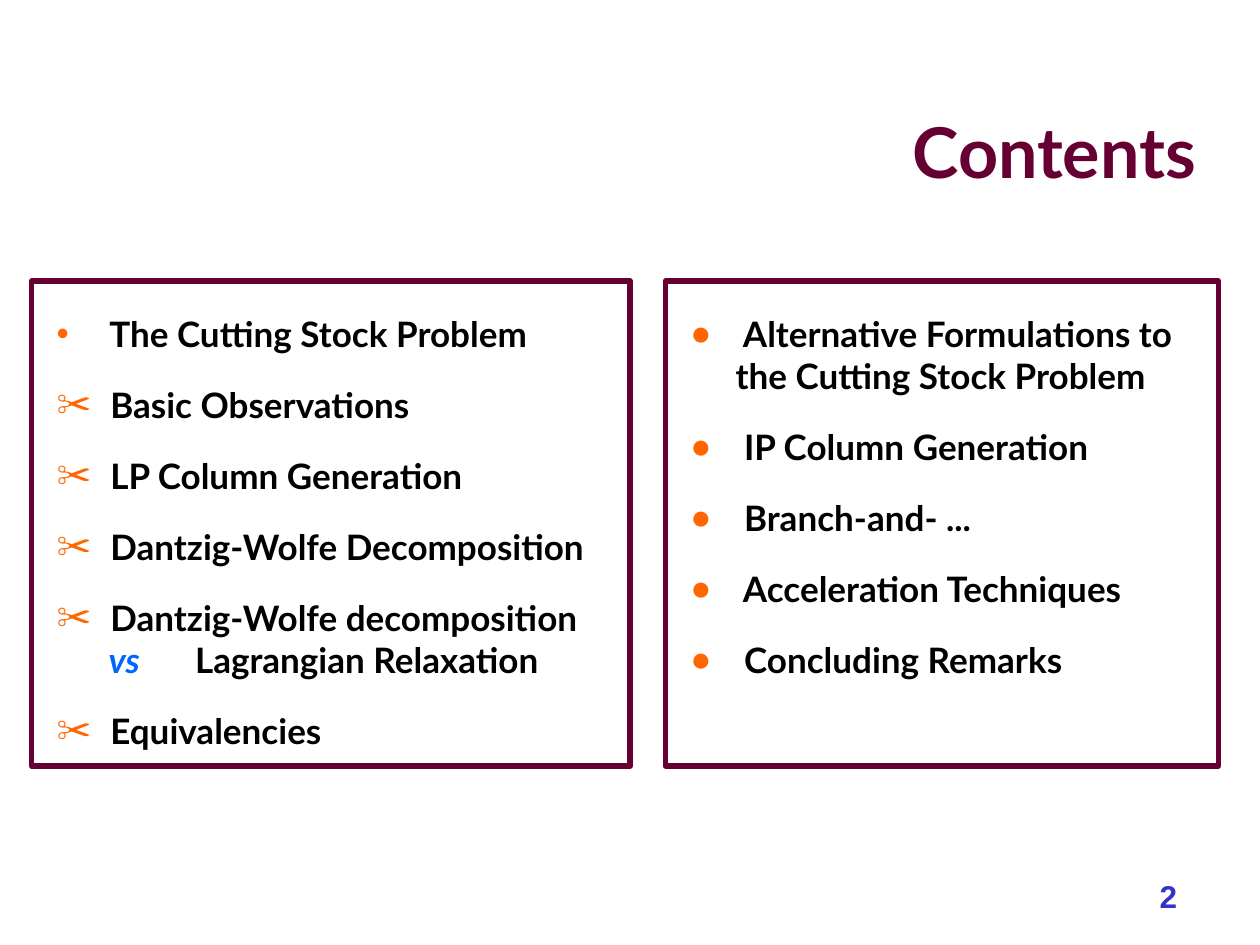
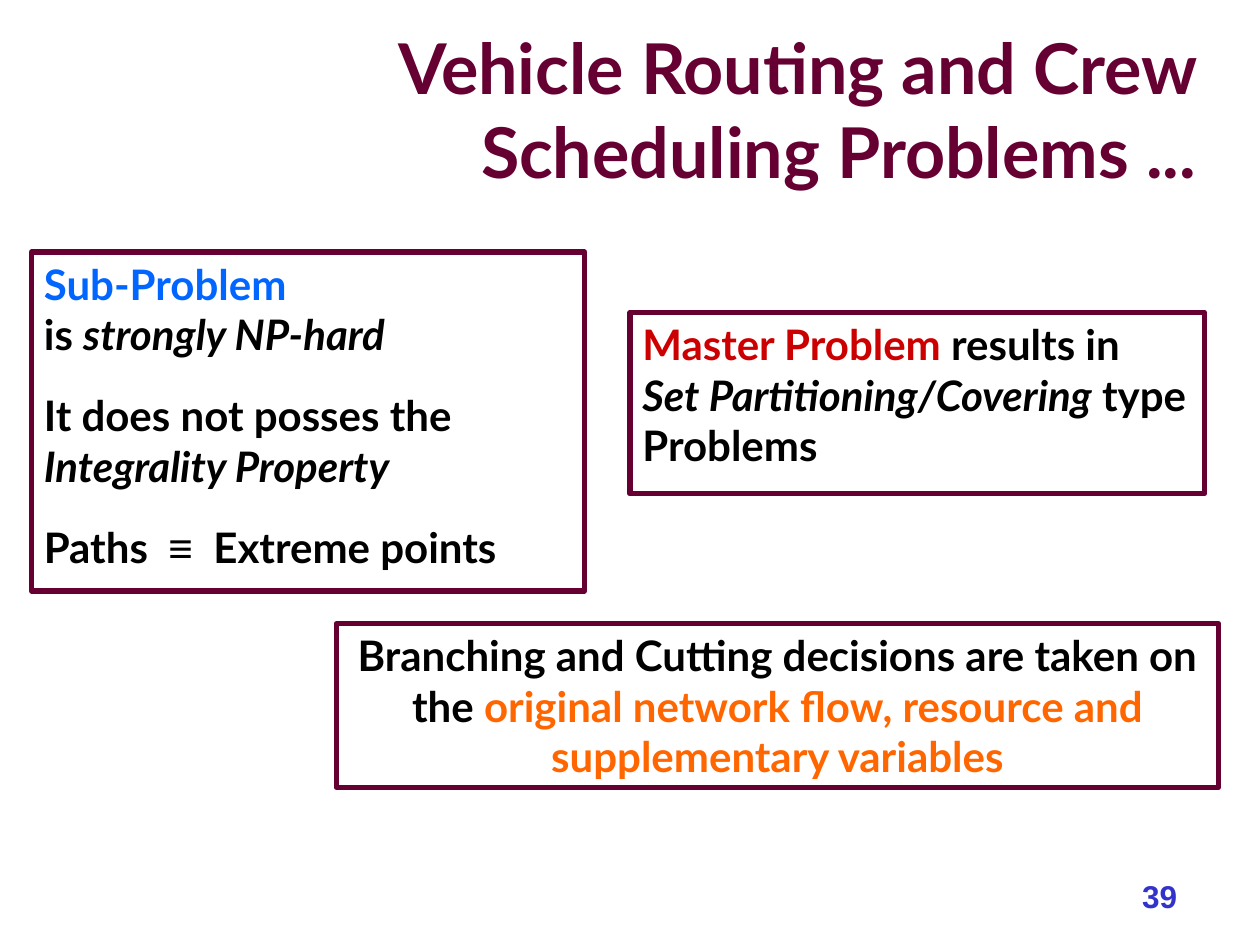
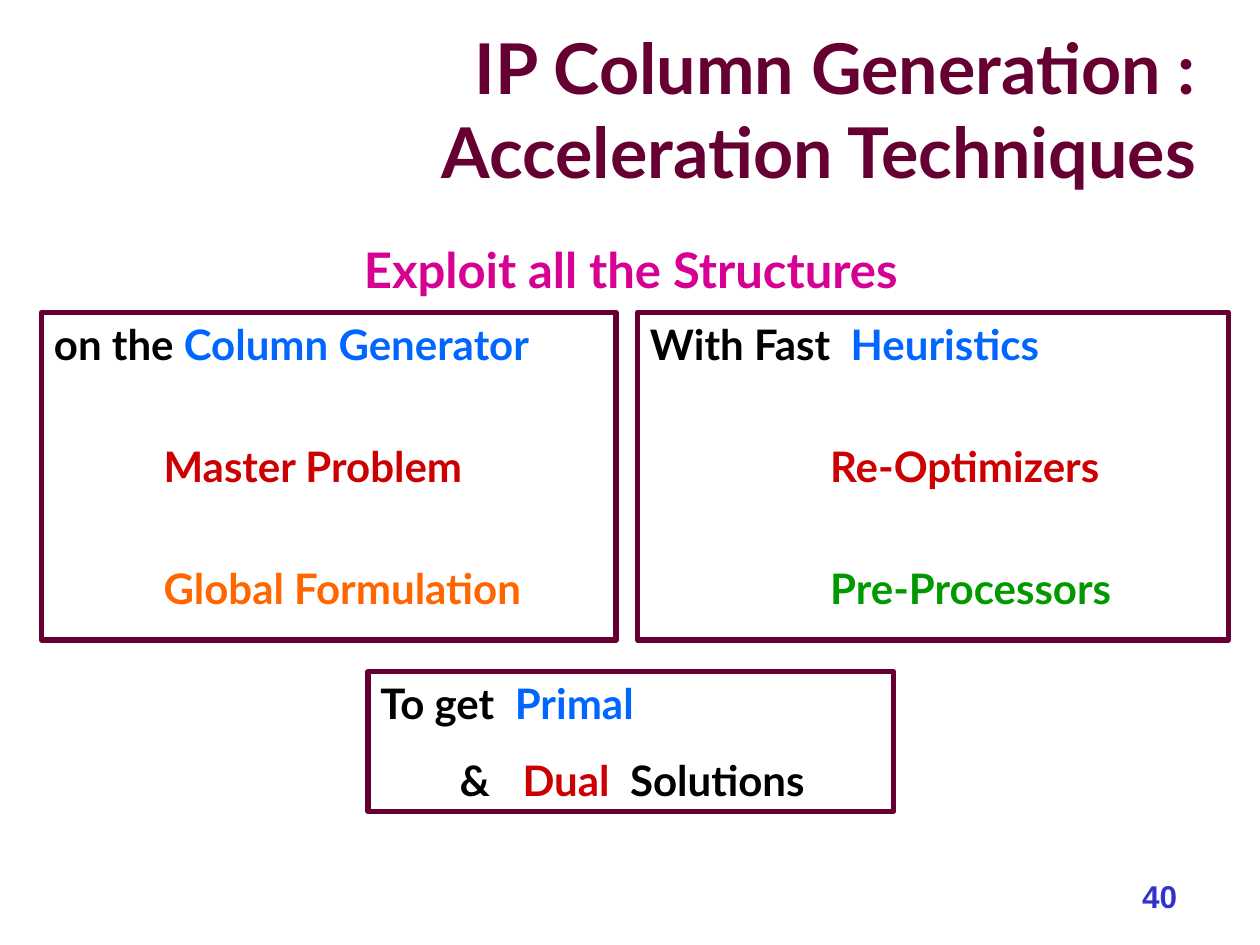
from lxml import etree
from pptx import Presentation
from pptx import util as u
from pptx.dml.color import RGBColor
from pptx.enum import shapes, text
from pptx.oxml.ns import qn

PLUM = RGBColor(0x66, 0x00, 0x33)
BLACK = RGBColor(0x00, 0x00, 0x00)
BLUE = RGBColor(0x00, 0x66, 0xFF)
RED = RGBColor(0xCC, 0x00, 0x00)
ORANGE = RGBColor(0xFF, 0x66, 0x00)
GREEN = RGBColor(0x00, 0x99, 0x00)
PINK = RGBColor(0xD6, 0x00, 0x93)
INDIGO = RGBColor(0x33, 0x33, 0xCC)

LEFT, CENTER, RIGHT = (text.PP_ALIGN.LEFT, text.PP_ALIGN.CENTER,
                       text.PP_ALIGN.RIGHT)
TOP, BOTTOM = text.MSO_ANCHOR.TOP, text.MSO_ANCHOR.BOTTOM


class Deck:
    """Holds the shared style and the slide being built."""

    font = "Lato"

    def __init__(self):
        self.prs = Presentation()
        self.prs.slide_width, self.prs.slide_height = u.Inches(10), u.Inches(7.5)
        self.s = None

    def slide(self, title, number):
        self.s = self.prs.slides.add_slide(self.prs.slide_layouts[6])
        self.label((0.42, 0.25, 9.17, 1.33), title, 40, PLUM, RIGHT, BOTTOM)
        self.label((5.83, 6.81, 3.61, 0.5), str(number), 18, INDIGO, RIGHT,
                   BOTTOM, "Arial")

    def label(self, at, words, size, color, align, anchor=TOP, font=None):
        sp = self.s.shapes.add_textbox(*map(u.Inches, at))
        tf = self.frame(sp, anchor)
        self.para(tf.paragraphs[0], [(words, color, False, font)], size, align)

    def box(self, at, paras, size=24, gap=0, align=LEFT, top=0.05, **layout):
        """A framed box; each paragraph is a list of runs."""
        sp = self.s.shapes.add_shape(shapes.MSO_SHAPE.RECTANGLE,
                                     *map(u.Inches, at))
        sp.shadow.inherit = False
        sp.fill.background()
        sp.line.color.rgb = PLUM
        sp.line.width = u.Pt(3)
        tf = self.frame(sp, TOP)
        tf.margin_top = u.Inches(top)
        for i, runs in enumerate(paras):
            p = tf.add_paragraph() if i else tf.paragraphs[0]
            self.para(p, runs, size, align)
            if i:
                p.space_before = u.Pt(gap)
                self.indent(p, **layout)

    def bullets(self, at, items):
        """A framed list of (bullet, runs) items."""
        self.box(at, [runs for _, runs in items], 20, 16.6, top=0.25)
        tf = self.s.shapes[-1].text_frame
        for p, (char, _) in zip(tf.paragraphs, items):
            self.indent(p, 0.46, -0.36, char, 1.2)

    @staticmethod
    def frame(sp, anchor):
        tf = sp.text_frame
        tf.word_wrap = True
        tf.vertical_anchor = anchor
        return tf

    def para(self, p, runs, size, align):
        p.alignment = align
        for words, color, italic, font in (
                (*run, BLACK, False, None)[:4] if len(run) == 1 else
                (*run, False, None)[:4] for run in runs):
            for i, line in enumerate(words.split("\n")):
                if i:
                    p.add_line_break()
                if not line:
                    continue
                r = p.add_run()
                r.text = line
                r.font.name = font or self.font
                r.font.size = u.Pt(size)
                r.font.bold, r.font.italic = True, italic
                r.font.color.rgb = color

    @staticmethod
    def indent(p, left=0, first=0, char=None, tab=None):
        pPr = p._p.get_or_add_pPr()
        pPr.set("marL", str(u.Inches(left)))
        pPr.set("indent", str(u.Inches(first)))
        if char:
            clr = etree.SubElement(pPr, qn("a:buClr"))
            etree.SubElement(clr, qn("a:srgbClr"), val=str(ORANGE))
            etree.SubElement(pPr, qn("a:buFont"), typeface="Arial")
            etree.SubElement(pPr, qn("a:buChar"), char=char)
        if tab:
            tabs = etree.SubElement(pPr, qn("a:tabLst"))
            etree.SubElement(tabs, qn("a:tab"), pos=str(u.Inches(tab)), algn="l")


def contents(d):
    d.slide("Contents", 2)
    d.bullets((0.25, 2.23, 4.75, 3.85), [
        ("•", [(" The Cutting Stock Problem",)]),
        ("✂", [(" Basic Observations",)]),
        ("✂", [(" LP Column Generation",)]),
        ("✂", [(" Dantzig-Wolfe Decomposition",)]),
        ("✂", [(" Dantzig-Wolfe decomposition\n",), (" vs\t", BLUE, True),
               ("Lagrangian Relaxation",)]),
        ("✂", [(" Equivalencies",)]),
    ])
    topics = ["Alternative Formulations to the Cutting Stock Problem",
              "IP Column Generation", "Branch-and- ...",
              "Acceleration Techniques", "Concluding Remarks"]
    d.bullets((5.28, 2.23, 4.39, 3.85),
              [("●", [(" " + topic,)]) for topic in topics])


def routing(d):
    d.slide("Vehicle Routing and Crew Scheduling Problems ...", 39)
    d.box((0.25, 2, 4.39, 2.69), [
        [("Sub-Problem\n", BLUE), ("is ",), ("strongly NP-hard", BLACK, True)],
        [("It does not posses the ",), ("Integrality Property", BLACK, True)],
        [("Paths  ",), ("≡", BLACK, False, "Arial"), ("  Extreme points",)],
    ], gap=17.6)
    d.box((5, 2.48, 4.56, 1.44), [
        [("Master Problem", RED), (" results in\n",),
         ("Set Partitioning/Covering", BLACK, True), (" type Problems",)],
    ])
    d.box((2.67, 4.95, 7, 1.3), [
        [("Branching and Cutting decisions are taken on the ",),
         ("original network flow, resource and supplementary variables",
          ORANGE)],
    ], align=CENTER)


def acceleration(d):
    d.slide("IP Column Generation :\nAcceleration Techniques", 40)
    d.box((0.33, 2.48, 4.56, 2.6), [
        [("on the ",), ("Column Generator", BLUE)],
        [("Master Problem", RED)],
        [("Global Formulation", ORANGE)],
    ], gap=40.8, left=0.87)
    d.box((5.06, 2.48, 4.69, 2.6), [
        [("With Fast ",), (" Heuristics", BLUE)],
        [("Re-Optimizers", RED)],
        [("Pre-Processors", GREEN)],
    ], gap=40.8, left=1.43)
    d.box((2.92, 5.33, 4.17, 1.11), [
        [("To get  ",), ("Primal", BLUE)],
        [("&\t",), ("Dual", RED), ("  Solutions",)],
    ], gap=15, left=0.63, tab=1.1)
    d.label((2.51, 1.85, 4.99, 0.57), "Exploit all the Structures", 28, PINK,
            CENTER)


def main():
    d = Deck()
    for build in (contents, routing, acceleration):
        build(d)
    d.prs.save("out.pptx")


if __name__ == "__main__":
    main()
